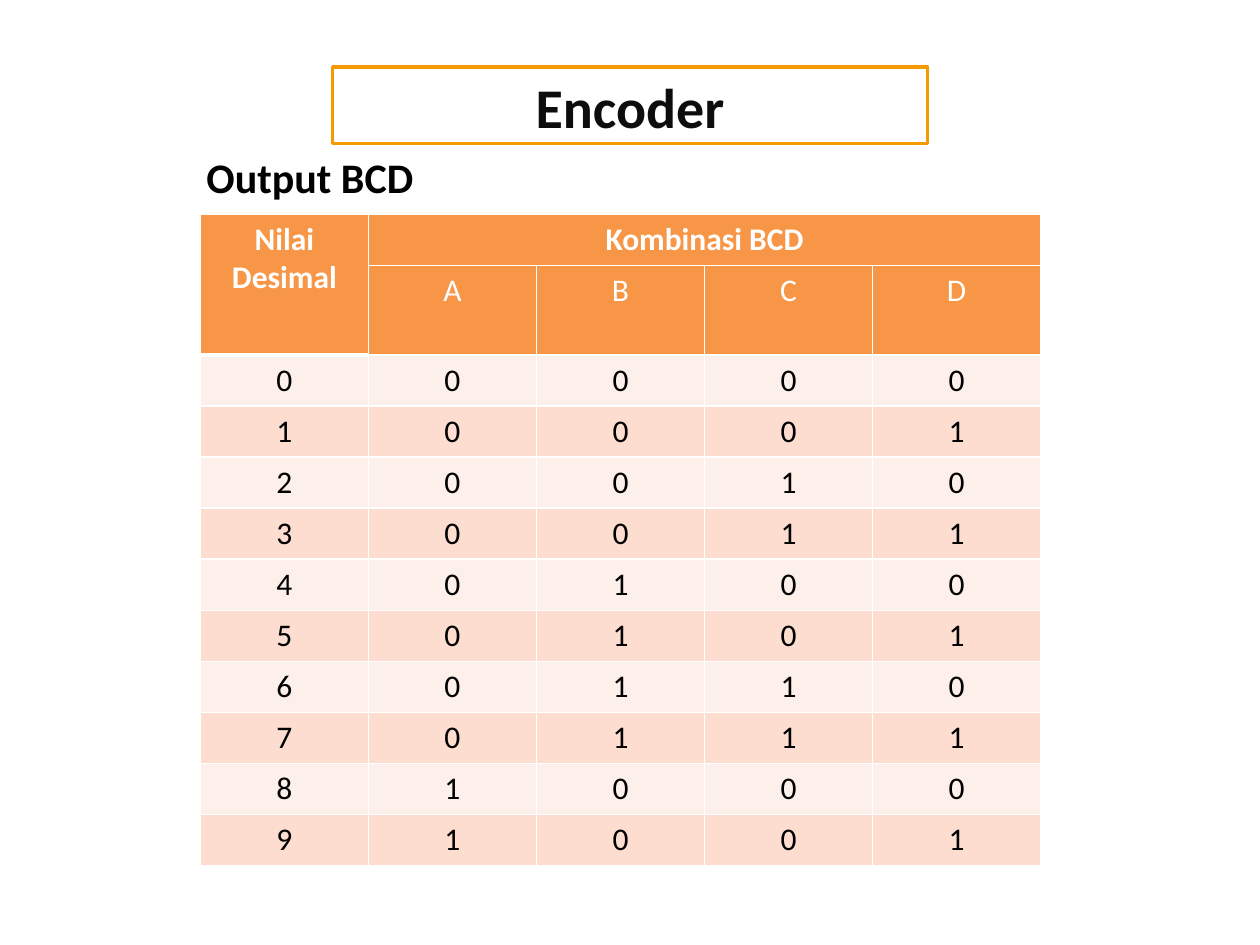
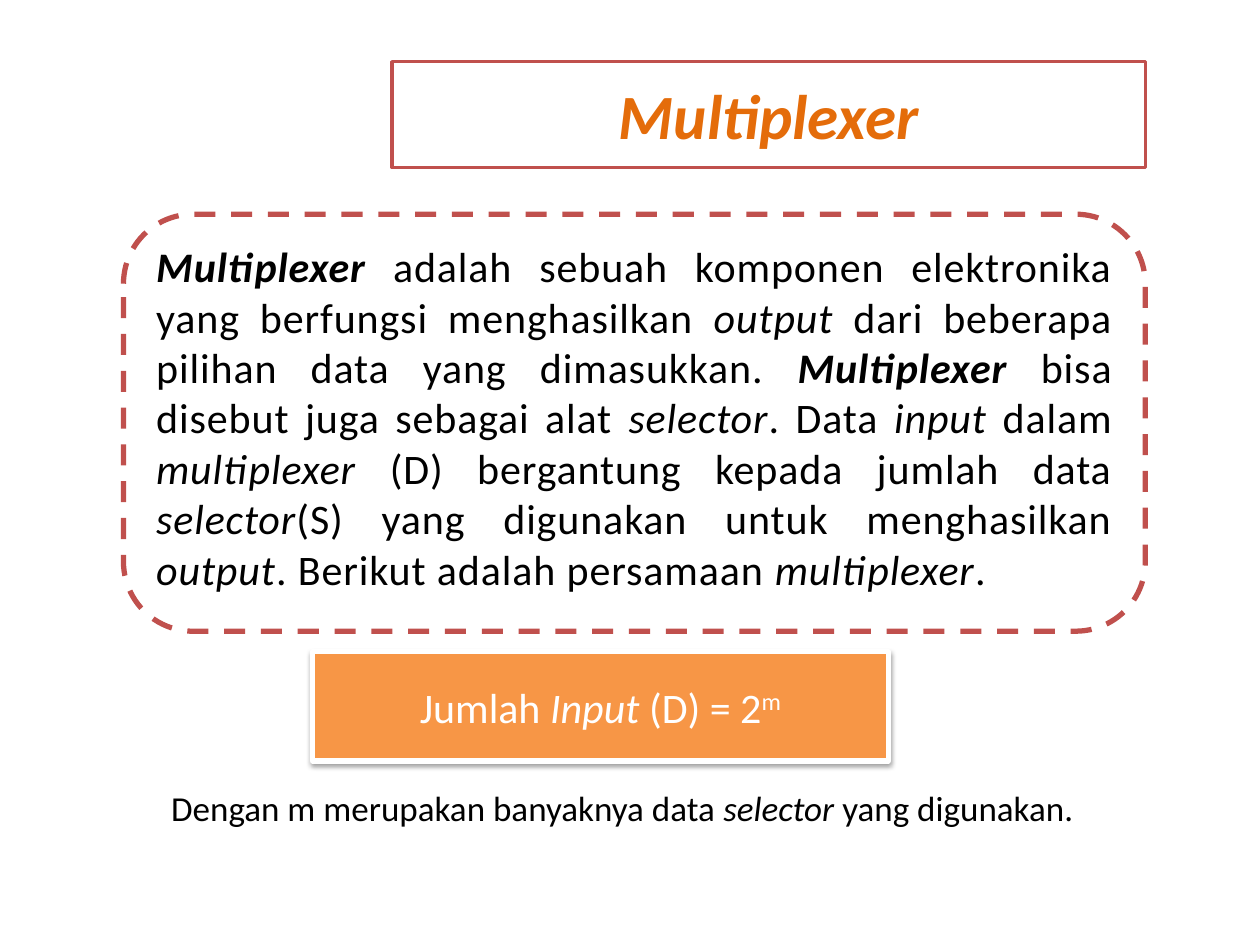
from dataclasses import dataclass

from lxml.etree import SubElement
from pptx import Presentation
from pptx.dml.color import RGBColor
from pptx.enum.dml import MSO_LINE
from pptx.enum.shapes import MSO_SHAPE
from pptx.enum.text import MSO_ANCHOR, PP_ALIGN
from pptx.oxml.ns import qn
from pptx.util import Inches, Pt

CELL = Inches(0.1)


@dataclass(frozen=True)
class Theme:
    """Colours, type sizes and line widths shared by the slides."""
    font: str = "Calibri"
    white: str = "FFFFFF"
    black: str = "000000"
    ink: str = "0D0D0D"
    amber: str = "F49900"
    orange: str = "F79646"
    dark_orange: str = "E46C0A"
    red: str = "C0504D"
    bands: tuple = ("FDEFE9", "FCDDCF")
    title: int = 32
    big_title: int = 36
    body: int = 24
    caption: int = 20
    table: int = 18
    thin: int = 1
    medium: int = 2
    thick: int = 3


THEME = Theme()


def place(left, top, width, height):
    """Turn columns and rows of the slide's 100 by 75 grid into lengths."""
    return [round(count * CELL) for count in (left, top, width, height)]


def write(frame, spans, size, colour, align=PP_ALIGN.LEFT, bold=None, lead=0, tracking=0):
    """Fill a text frame with spans of (text, marks): b bold, i italic, ^ raised."""
    para = frame.paragraphs[0]
    para.alignment = align
    para.space_before = Pt(size * lead)
    para.font.name = THEME.font
    para.font.size = Pt(size)
    para.font.bold = bold
    para.font.color.rgb = RGBColor.from_string(colour)
    for text, marks in spans:
        span = para.add_run()
        span.text = text
        if "b" in marks:
            span.font.bold = True
        if "i" in marks:
            span.font.italic = True
        if "^" in marks:
            span.font._element.set("baseline", "30000")
        if tracking:
            span.font._element.set("spc", str(round(tracking * 100)))


def add_box(page, area, fill, line, width, kind=MSO_SHAPE.RECTANGLE, anchor=MSO_ANCHOR.MIDDLE):
    """Add a filled, outlined shape without a shadow."""
    box = page.shapes.add_shape(kind, *place(*area))
    box.shadow.inherit = False
    box.fill.solid()
    box.fill.fore_color.rgb = RGBColor.from_string(fill)
    box.line.color.rgb = RGBColor.from_string(line)
    box.line.width = Pt(width)
    box.text_frame.word_wrap = True
    box.text_frame.vertical_anchor = anchor
    return box


def add_title(page, area, text, marks, size, colour, line, anchor):
    """Add the framed title of a slide."""
    box = add_box(page, area, THEME.white, line, THEME.medium, anchor=anchor)
    write(box.text_frame, [(text, marks)], size, colour, PP_ALIGN.CENTER, lead=0.2)


def add_label(page, area, spans, size):
    """Add a plain line of black text."""
    box = page.shapes.add_textbox(*place(*area))
    box.text_frame.word_wrap = True
    write(box.text_frame, spans, size, THEME.black)


def add_shadow(box):
    """Give a shape a soft shadow straight below it."""
    effects = box._element.spPr.find(qn("a:effectLst"))
    shadow = SubElement(effects, qn("a:outerShdw"), blurRad=str(Pt(3.1)),
                        dist=str(Pt(1.6)), dir="5400000", rotWithShape="0")
    colour = SubElement(shadow, qn("a:srgbClr"), val=THEME.black)
    SubElement(colour, qn("a:alpha"), val="38000")


def add_borders(cell, bottom):
    """Draw white borders round a table cell."""
    properties = cell._tc.get_or_add_tcPr()
    for side in "LRTB":
        width = bottom if side == "B" else THEME.thin
        line = SubElement(properties, qn(f"a:ln{side}"), w=str(Pt(width)))
        fill = SubElement(line, qn("a:solidFill"))
        SubElement(fill, qn("a:srgbClr"), val=THEME.white)


def fill_cell(cell, text, fill, colour, bold=False, bottom=THEME.thin):
    """Write one centred table cell with its fill and borders."""
    add_borders(cell, bottom)
    cell.fill.solid()
    cell.fill.fore_color.rgb = RGBColor.from_string(fill)
    write(cell.text_frame, [(text, "b" if bold else "")], THEME.table, colour,
          PP_ALIGN.CENTER, bold)


def add_bcd_table(page, area):
    """Add the table of the ten decimal digits and their BCD codes."""
    headings = [["Nilai Desimal", "Kombinasi BCD", "", "", ""], ["", *"ABCD"]]
    digits = [[str(digit), *f"{digit:04b}"] for digit in range(10)]
    rows = headings + digits
    table = page.shapes.add_table(len(rows), len(rows[0]), *place(*area)).table
    for r, row in enumerate(rows):
        for c, text in enumerate(row):
            header = r < len(headings)
            fill = THEME.orange if header else THEME.bands[r % 2]
            colour = THEME.white if header else THEME.black
            bottom = THEME.thick if (r, c) == (0, 0) else THEME.thin
            fill_cell(table.cell(r, c), text, fill, colour, r == 0, bottom)
    table.cell(0, 0).merge(table.cell(1, 0))
    table.cell(0, 1).merge(table.cell(0, 4))


def build_encoder(page):
    """Build the slide on the encoder's BCD output."""
    add_title(page, (26.4, 5.3, 47.2, 6.1), "Encoder", "b", THEME.title,
              THEME.ink, THEME.amber, MSO_ANCHOR.TOP)
    add_bcd_table(page, (15.9, 17, 66.7, 48.7))
    add_label(page, (15.4, 11.5, 36.2, 5), [("Output BCD", "b")], THEME.body)


def build_multiplexer(page):
    """Build the slide that explains the multiplexer."""
    add_title(page, (31.1, 4.9, 59.8, 8.4), "Multiplexer", "bi", THEME.big_title,
              THEME.dark_orange, THEME.red, MSO_ANCHOR.MIDDLE)
    definition = add_box(page, (9.8, 17, 81.1, 33.1), THEME.white, THEME.red, THEME.thick,
                         MSO_SHAPE.ROUNDED_RECTANGLE, MSO_ANCHOR.TOP)
    definition.line.dash_style = MSO_LINE.DASH
    write(definition.text_frame, [
        ("Multiplexer ", "bi"),
        ("adalah sebuah komponen elektronika yang berfungsi menghasilkan ", ""),
        ("output ", "i"),
        ("dari beberapa pilihan data yang dimasukkan. ", ""),
        ("Multiplexer ", "bi"),
        ("bisa disebut juga sebagai alat ", ""),
        ("selector", "i"),
        (". Data ", ""),
        ("input ", "i"),
        ("dalam ", ""),
        ("multiplexer", "i"),
        (" (D) bergantung kepada jumlah data ", ""),
        ("selector", "i"),
        ("(S) yang digunakan untuk menghasilkan ", ""),
        ("output", "i"),
        (". Berikut adalah persamaan ", ""),
        ("multiplexer", "i"),
        (".", ""),
    ], THEME.body, THEME.black, PP_ALIGN.JUSTIFY, lead=0.2, tracking=0.5)
    formula = add_box(page, (24.8, 51.7, 45.7, 8.7), THEME.orange, THEME.white, THEME.thick)
    add_shadow(formula)
    write(formula.text_frame, [("Jumlah ", ""), ("Input", "i"), (" (D) = 2", ""), ("m", "^")],
          THEME.body, THEME.white, PP_ALIGN.CENTER)
    add_label(page, (12.6, 61.9, 74.8, 4.4), [
        ("Dengan m merupakan banyaknya data ", ""),
        ("selector", "i"),
        (" yang digunakan.", ""),
    ], THEME.caption)


def main():
    """Build and save the deck."""
    deck = Presentation()
    deck.slide_width, deck.slide_height = 100 * CELL, 75 * CELL
    for build in (build_encoder, build_multiplexer):
        build(deck.slides.add_slide(deck.slide_layouts[6]))
    deck.save("out.pptx")


if __name__ == "__main__":
    main()
